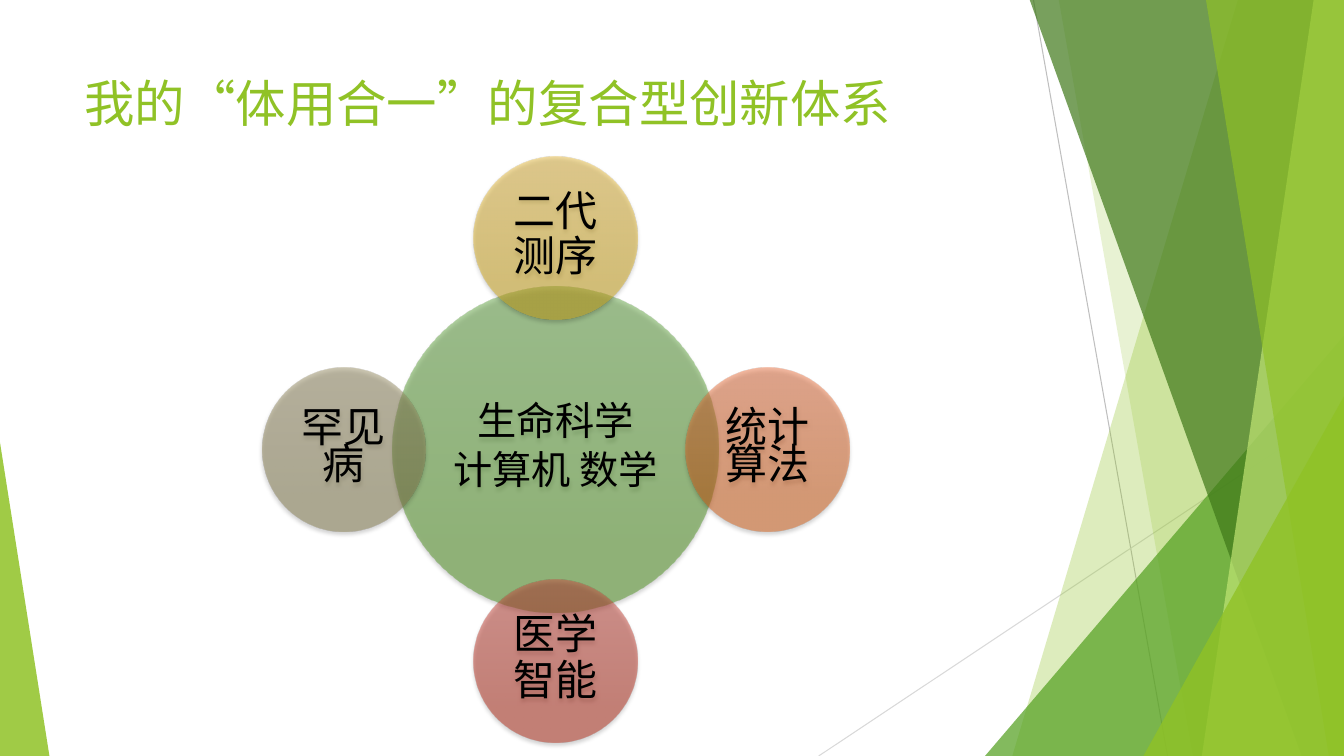
from dataclasses import dataclass

from lxml import etree
from pptx import Presentation
from pptx.dml.color import RGBColor
from pptx.enum import lang, shapes, text
from pptx.oxml.ns import qn
from pptx.util import Inches, Pt

WIDTH, HEIGHT = 13.33, 7.5
BAND_TOP = -0.01
TITLE_FONT, BODY_FONT = "Roboto", "Noto Sans CJK SC"
COLORS = {
    "lime": "90C226", "green": "54A021", "forest": "3F7819", "pale": "C0E474",
    "rule_dark": "BFBFBF", "rule_light": "D9D9D9", "black": "000000",
}


@dataclass(frozen=True)
class Rule:
    start: tuple[float, float]
    end: tuple[float, float]
    color: str


@dataclass(frozen=True)
class Band:
    """A facet between a slanted left edge and the slide's right edge."""
    top_x: float
    bottom_x: float
    color: str
    opacity: int


@dataclass(frozen=True)
class Corner:
    """A right triangle standing on the slide's bottom edge."""
    left: float
    width: float
    height: float
    apex: float
    color: str
    opacity: int


@dataclass(frozen=True)
class Circle:
    lines: tuple[str, ...]
    direction: tuple[int, int]
    gradient: tuple[str, str]
    diameter: float = 1.62
    size: int = 30
    space_after: float = 6


RULES = [
    Rule((10.25, 0), (11.58, HEIGHT), "rule_dark"),
    Rule((WIDTH, 4.03), (8.12, HEIGHT), "rule_light"),
]
FACETS = [
    Band(12.28, 10.04, "lime", 30),
    Band(10.5, 11.83, "lime", 20),
    Corner(9.77, 3.56, 4.17, 1, "green", 72),
    Band(10.21, 12.91, "forest", 70),
    Band(13.03, 11.92, "pale", 70),
    Band(11.96, 13.18, "lime", 65),
    Corner(11.34, 1.99, 3.57, 1, "lime", 80),
    Corner(0, 0.49, 3.11, 0, "lime", 85),
]
CENTER_X, CENTER_Y, ORBIT = 5.51, 4.46, 2.1
CIRCLES = [
    Circle(("生命科学", "计算机 数学"), (0, 0), ("63A545", "4D921E"), 3.23, 28, 9.8),
    Circle(("二代", "测序"), (0, -1), ("E7BC43", "D2A91B")),
    Circle(("统计算法",), (1, 0), ("E87242", "D35D16")),
    Circle(("医学", "智能"), (0, 1), ("C74B42", "B32B18")),
    Circle(("罕见病",), (-1, 0), ("988E64", "857B4E")),
]


def set_opacity(fill_element, percent: int) -> None:
    for color in fill_element.iter(qn("a:srgbClr")):
        etree.SubElement(color, qn("a:alpha"), val=str(percent * 1000))


def draw_rule(slide, rule: Rule) -> None:
    ends = [Inches(value) for value in (*rule.start, *rule.end)]
    connector = slide.shapes.add_connector(shapes.MSO_CONNECTOR.STRAIGHT, *ends)
    connector.line.color.rgb = RGBColor.from_string(COLORS[rule.color])
    connector.line.width = Pt(0.75)
    etree.SubElement(connector.line._get_or_add_ln().getparent(), qn("a:effectLst"))


def draw_facet(slide, facet: Band | Corner) -> None:
    if isinstance(facet, Band):
        outline = [(facet.top_x, BAND_TOP), (WIDTH, BAND_TOP),
                   (WIDTH, HEIGHT), (facet.bottom_x, HEIGHT)]
        points = [(Inches(x), Inches(y)) for x, y in outline]
        builder = slide.shapes.build_freeform(*points[0])
        builder.add_line_segments(points[1:], close=True)
        shape = builder.convert_to_shape()
    else:
        shape = slide.shapes.add_shape(
            shapes.MSO_SHAPE.ISOSCELES_TRIANGLE,
            Inches(facet.left), Inches(HEIGHT - facet.height),
            Inches(facet.width), Inches(facet.height))
        shape.adjustments[0] = facet.apex
    shape.shadow.inherit = False
    shape.line.fill.background()
    shape.fill.solid()
    shape.fill.fore_color.rgb = RGBColor.from_string(COLORS[facet.color])
    set_opacity(shape._element.spPr.find(qn("a:solidFill")), facet.opacity)


def format_run(run, font_name: str, size: float, color: str) -> None:
    run.font.name = font_name
    run.font.size = Pt(size)
    run.font.color.rgb = RGBColor.from_string(COLORS[color])
    run.font.language_id = lang.MSO_LANGUAGE_ID.SIMPLIFIED_CHINESE
    latin = run.font._element.find(qn("a:latin"))
    latin.addnext(latin.makeelement(qn("a:ea"), {"typeface": BODY_FONT}))


def draw_title(slide, title: str) -> None:
    box = slide.shapes.add_textbox(Inches(0.74), Inches(0.67), Inches(9.4), Inches(1.44))
    box.text_frame.word_wrap = True
    box.text_frame.text = title
    format_run(box.text_frame.paragraphs[0].runs[0], TITLE_FONT, 36, "lime")


def add_soft_shadow(shape) -> None:
    shape.shadow.inherit = False
    effects = shape._element.spPr.find(qn("a:effectLst"))
    shadow = etree.SubElement(
        effects, qn("a:outerShdw"), blurRad=str(Pt(3)), dist=str(Pt(2)),
        dir="5400000", rotWithShape="0")
    etree.SubElement(shadow, qn("a:srgbClr"), val=COLORS["black"])
    set_opacity(shadow, 35)


def draw_circle(slide, circle: Circle) -> None:
    across, down = circle.direction
    radius = circle.diameter / 2
    shape = slide.shapes.add_shape(
        shapes.MSO_SHAPE.OVAL,
        Inches(CENTER_X + across * ORBIT - radius),
        Inches(CENTER_Y + down * ORBIT - radius),
        Inches(circle.diameter), Inches(circle.diameter))
    shape.line.fill.background()
    shape.fill.gradient()
    shape.fill.gradient_angle = 270
    for stop, position, color in zip(shape.fill.gradient_stops, (0, 0.78), circle.gradient):
        stop.position = position
        stop.color.rgb = RGBColor.from_string(color)
    set_opacity(shape._element.spPr.find(qn("a:gradFill")), 50)
    add_soft_shadow(shape)

    frame = shape.text_frame
    frame.word_wrap = True
    frame.vertical_anchor = text.MSO_ANCHOR.MIDDLE
    frame.margin_left = frame.margin_right = Inches(0.04)
    frame.margin_top = frame.margin_bottom = Inches(0.04)
    frame.text = "\n".join(circle.lines)
    for paragraph in frame.paragraphs:
        paragraph.alignment = text.PP_ALIGN.CENTER
        paragraph.line_spacing = 0.74
        paragraph.space_after = Pt(circle.space_after)
        format_run(paragraph.runs[0], BODY_FONT, circle.size, "black")


def main() -> None:
    presentation = Presentation()
    presentation.slide_width = Inches(WIDTH)
    presentation.slide_height = Inches(HEIGHT)
    slide = presentation.slides.add_slide(presentation.slide_layouts[6])
    for rule in RULES:
        draw_rule(slide, rule)
    for facet in FACETS:
        draw_facet(slide, facet)
    draw_title(slide, "我的“体用合一”的复合型创新体系")
    for circle in CIRCLES:
        draw_circle(slide, circle)
    presentation.save("out.pptx")


if __name__ == "__main__":
    main()
